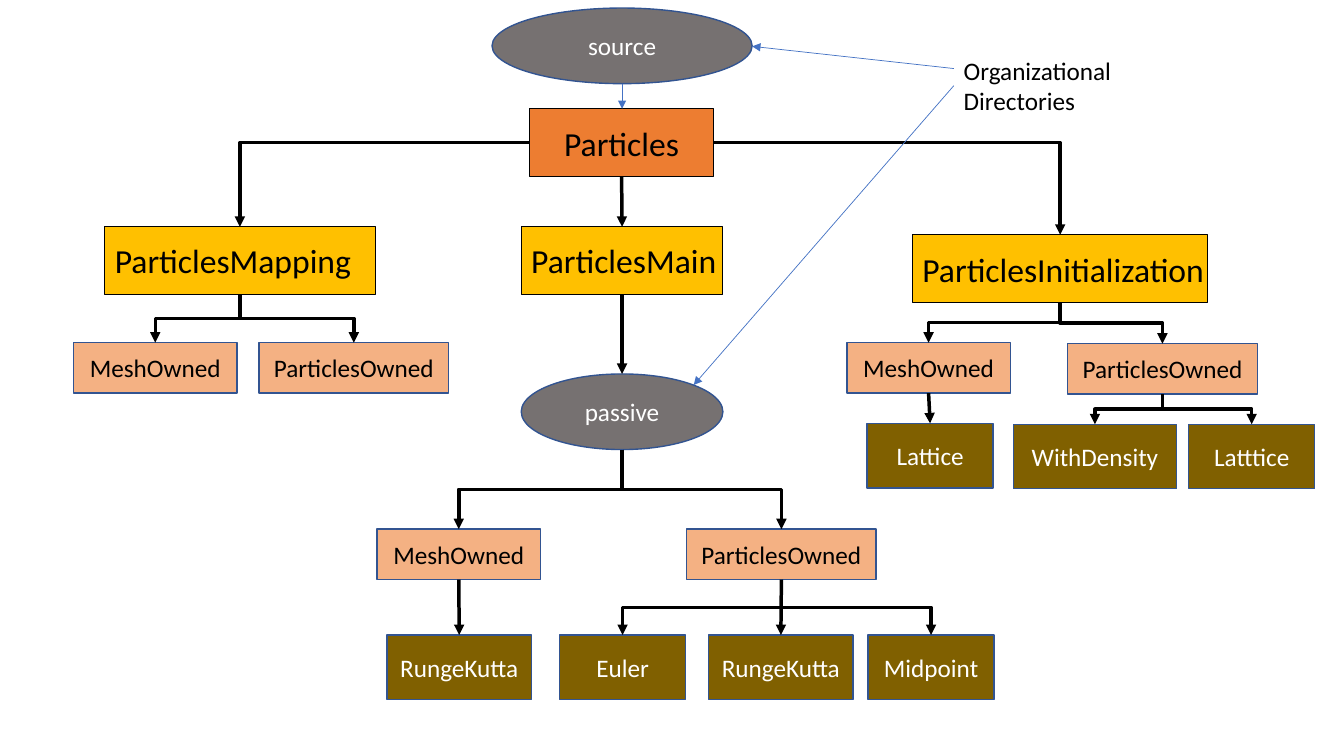
import pptx
import pptx.util
import pptx.dml.color
import pptx.enum.shapes
import pptx.enum.text
import pptx.oxml.ns
import pptx.oxml.xmlchemy
from pptx.util import Inches

RECTANGLE = pptx.enum.shapes.MSO_SHAPE.RECTANGLE
OVAL = pptx.enum.shapes.MSO_SHAPE.OVAL
STRAIGHT = pptx.enum.shapes.MSO_CONNECTOR.STRAIGHT
ELBOW = pptx.enum.shapes.MSO_CONNECTOR.ELBOW
LEFT = pptx.enum.text.PP_ALIGN.LEFT
CENTER = pptx.enum.text.PP_ALIGN.CENTER
MIDDLE = pptx.enum.text.MSO_ANCHOR.MIDDLE
GROW = pptx.enum.text.MSO_AUTO_SIZE.SHAPE_TO_FIT_TEXT

BLACK, WHITE, NAVY, BLUE = "000000", "FFFFFF", "325491", "4472C4"


def color(value):
    return pptx.dml.color.RGBColor.from_string(value)


def set_values(target, values):
    for name, value in values.items():
        setattr(target, name, value)


class Diagram:
    font = "Calibri"
    kinds = {
        "root": dict(geometry=RECTANGLE, fill="ED7D31", line=BLACK, weight=0.75,
                     size=24, text=BLACK, align=CENTER, wrap=False),
        "module": dict(geometry=RECTANGLE, fill="FFC000", line=BLACK, weight=0.75,
                       size=24, text=BLACK, align=LEFT, wrap=False),
        "directory": dict(geometry=OVAL, fill="767171", line=NAVY, weight=1,
                          size=18, text=WHITE, align=CENTER, wrap=True),
        "owner": dict(geometry=RECTANGLE, fill="F4B183", line=NAVY, weight=1,
                      size=18, text=BLACK, align=CENTER, wrap=True),
        "method": dict(geometry=RECTANGLE, fill="806000", line=NAVY, weight=1,
                       size=18, text=WHITE, align=CENTER, wrap=True),
    }

    def __init__(self, slide):
        self.slide = slide

    def set_text(self, shape, text, size, text_color, align, frame_values):
        set_values(shape.text_frame, frame_values)
        shape.text_frame.text = text
        for paragraph in shape.text_frame.paragraphs:
            paragraph.alignment = align
            font = paragraph.runs[0].font
            set_values(font, {"name": self.font, "size": pptx.util.Pt(size)})
            font.color.rgb = color(text_color)

    def node(self, kind, text, left, top, width, height):
        style = self.kinds[kind]
        shape = self.slide.shapes.add_shape(
            style["geometry"], Inches(left), Inches(top), Inches(width), Inches(height))
        shape.shadow.inherit = False
        shape.fill.solid()
        shape.fill.fore_color.rgb = color(style["fill"])
        shape.line.color.rgb = color(style["line"])
        shape.line.width = pptx.util.Pt(style["weight"])
        self.set_text(shape, text, style["size"], style["text"], style["align"],
                      {"word_wrap": style["wrap"], "vertical_anchor": MIDDLE})
        return shape

    def label(self, text, left, top, width, height):
        box = self.slide.shapes.add_textbox(
            Inches(left), Inches(top), Inches(width), Inches(height))
        self.set_text(box, text, 18, BLACK, LEFT, {"word_wrap": False, "auto_size": GROW})

    def arrow(self, kind, start, end, line_color=BLACK, weight=2.5):
        connector = self.slide.shapes.add_connector(
            kind, *(round(value) for value in (*start, *end)))
        connector.line.color.rgb = color(line_color)
        connector.line.width = pptx.util.Pt(weight)
        properties = connector.element.spPr
        tail = pptx.oxml.xmlchemy.OxmlElement("a:tailEnd")
        tail.set("type", "triangle")
        properties.find(pptx.oxml.ns.qn("a:ln")).append(tail)
        properties.append(pptx.oxml.xmlchemy.OxmlElement("a:effectLst"))
        return properties

    def pointer(self, start, end):
        self.arrow(STRAIGHT, [Inches(value) for value in start],
                   [Inches(value) for value in end], BLUE, 0.5)

    def drop(self, parent, child):
        x1, y1 = parent.left + parent.width / 2, parent.top + parent.height
        x2, y2 = child.left + child.width / 2, child.top
        across, down = abs(x2 - x1), y2 - y1
        if across < Inches(0.03):
            self.arrow(STRAIGHT, (x1, y1), (x2, y2))
            return
        side = 1 if x2 > x1 else -1
        center_x, center_y = (x1 + x2) / 2, (y1 + y2) / 2
        properties = self.arrow(
            ELBOW, (center_x + side * down / 2, center_y - across / 2),
            (center_x - side * down / 2, center_y + across / 2))
        degrees = 270 if side > 0 else 90
        properties.find(pptx.oxml.ns.qn("a:xfrm")).set("rot", str(degrees * 60000))

    def branch(self, parent, child):
        on_right = child.left > parent.left
        start = (parent.left + parent.width * on_right, parent.top + parent.height / 2)
        properties = self.arrow(ELBOW, start, (child.left + child.width / 2, child.top))
        properties.find(pptx.oxml.ns.qn("a:prstGeom")).set("prst", "bentConnector2")


def main():
    presentation = pptx.Presentation()
    presentation.slide_width = Inches(13.33)
    presentation.slide_height = Inches(7.5)
    diagram = Diagram(presentation.slides.add_slide(presentation.slide_layouts[6]))

    nodes = {key: diagram.node(*values) for key, *values in [
        ("particles", "root", "Particles", 5.25, 1.08, 1.83, 0.67),
        ("initialization", "module", "ParticlesInitialization", 9.05, 2.33, 2.93, 0.67),
        ("main", "module", "ParticlesMain", 5.17, 2.25, 2, 0.67),
        ("mapping", "module", "ParticlesMapping", 1.04, 2.25, 2.68, 0.67),
        ("source", "directory", "source", 4.88, 0.08, 2.58, 0.75),
        ("passive", "directory", "passive", 5.17, 3.71, 2, 0.75),
    ]}
    for kind, text, width, height, places in [
        ("owner", "ParticlesOwned", 1.88, 0.5,
         {"mapping": (2.57, 3.4), "initialization": (10.59, 3.41), "passive": (6.81, 5.25)}),
        ("owner", "MeshOwned", 1.62, 0.5,
         {"mapping": (0.73, 3.4), "initialization": (8.4, 3.4), "passive": (3.74, 5.25)}),
        ("method", "Euler", 1.25, 0.64, {"passive ParticlesOwned": (5.55, 6.3)}),
        ("method", "RungeKutta", 1.43, 0.64,
         {"passive ParticlesOwned": (7.03, 6.3), "passive MeshOwned": (3.84, 6.3)}),
        ("method", "Midpoint", 1.25, 0.64, {"passive ParticlesOwned": (8.61, 6.3)}),
        ("method", "Latttice", 1.25, 0.64, {"initialization ParticlesOwned": (11.79, 4.21)}),
        ("method", "WithDensity", 1.62, 0.64, {"initialization ParticlesOwned": (10.05, 4.21)}),
        ("method", "Lattice", 1.25, 0.64, {"initialization MeshOwned": (8.6, 4.2)}),
    ]:
        for parent, (left, top) in places.items():
            child = diagram.node(kind, text, left, top, width, height)
            nodes[f"{parent} {text}"] = child
            diagram.drop(nodes[parent], child)

    diagram.drop(nodes["particles"], nodes["main"])
    diagram.drop(nodes["main"], nodes["passive"])
    for module in ("mapping", "initialization"):
        diagram.branch(nodes["particles"], nodes[module])

    diagram.pointer((6.17, 0.83), (6.17, 1.08))
    diagram.pointer((9.46, 0.68), (7.46, 0.46))
    diagram.pointer((9.46, 0.85), (6.88, 3.82))
    diagram.label("Organizational\nDirectories", 9.46, 0.5, 1.74, 0.71)
    presentation.save("out.pptx")


if __name__ == "__main__":
    main()
